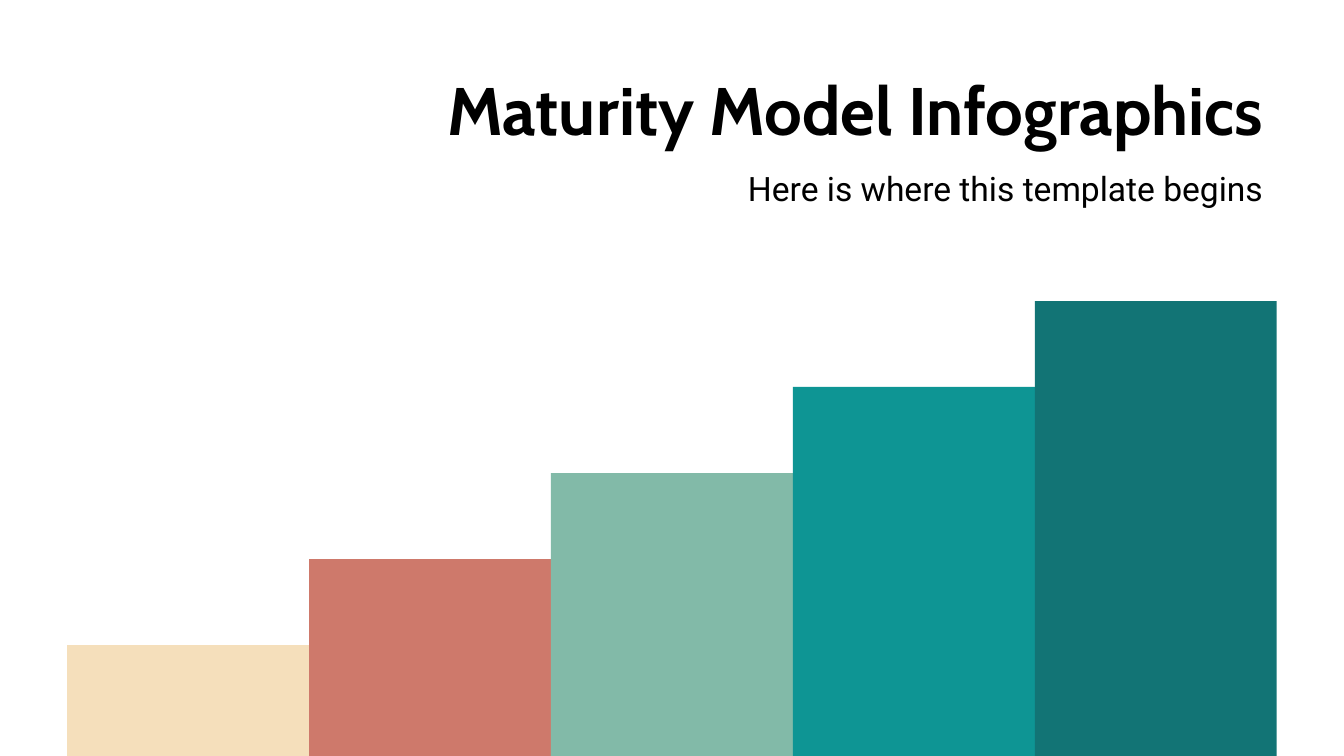
"""Build the Maturity Model Infographics cover slide with its rising steps."""
from pptx import Presentation
from pptx.dml.color import RGBColor
from pptx.enum import shapes, text
from pptx.util import Inches, Pt

BLACK = RGBColor(0x00, 0x00, 0x00)
SAND = RGBColor(0xF5, 0xDF, 0xBB)
CORAL = RGBColor(0xCE, 0x79, 0x6B)
SAGE = RGBColor(0x82, 0xBA, 0xA8)
TEAL = RGBColor(0x0E, 0x95, 0x94)
DEEP_TEAL = RGBColor(0x12, 0x74, 0x75)

SLIDE_HEIGHT = 5.625
STEP_WIDTH = 1.8
STEP_RISE = 0.64


def set_heading(shape, box, wording, font_name, size, bold, line_spacing):
    shape.left, shape.top, shape.width, shape.height = map(Inches, box)
    frame = shape.text_frame
    frame.text = wording
    frame.word_wrap = True
    frame.auto_size = text.MSO_AUTO_SIZE.NONE
    frame.vertical_anchor = text.MSO_ANCHOR.MIDDLE
    frame.margin_left = frame.margin_right = Inches(0.1)
    frame.margin_top = frame.margin_bottom = Inches(0.1)
    paragraph = frame.paragraphs[0]
    paragraph.alignment = text.PP_ALIGN.RIGHT
    paragraph.line_spacing = line_spacing
    paragraph.space_before = Pt(0)
    paragraph.font.name = font_name
    paragraph.font.size = Pt(size)
    paragraph.font.bold = bold
    paragraph.font.color.rgb = BLACK


presentation = Presentation()
presentation.slide_width = Inches(10)
presentation.slide_height = Inches(SLIDE_HEIGHT)
slide = presentation.slides.add_slide(presentation.slide_layouts[0])

set_heading(slide.placeholders[1], (5.06, 1.16, 4.44, 0.44),
            "Here is where this template begins", "Roboto", 18, False, 1.15)
set_heading(slide.shapes.title, (2.81, 0.45, 6.69, 0.71),
            "Maturity Model Infographics", "Cabin", 36, True, 1.0)

for index, color in enumerate((SAND, CORAL, SAGE, TEAL, DEEP_TEAL)):
    top = 4.8 - index * STEP_RISE
    step = slide.shapes.add_shape(
        shapes.MSO_SHAPE.RECTANGLE,
        Inches(0.5 + index * STEP_WIDTH), Inches(top),
        Inches(STEP_WIDTH), Inches(SLIDE_HEIGHT - top))
    step.shadow.inherit = False
    step.fill.solid()
    step.fill.fore_color.rgb = color
    step.line.fill.background()

presentation.save("out.pptx")
